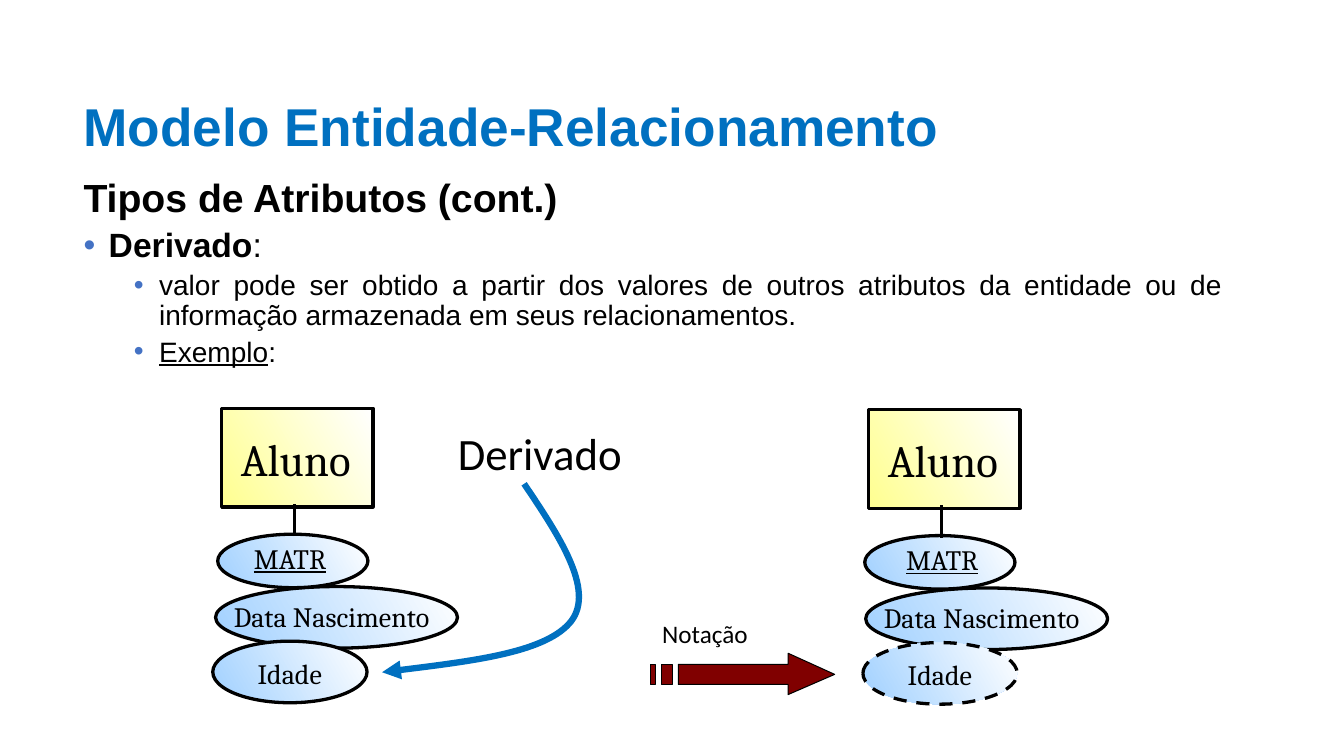
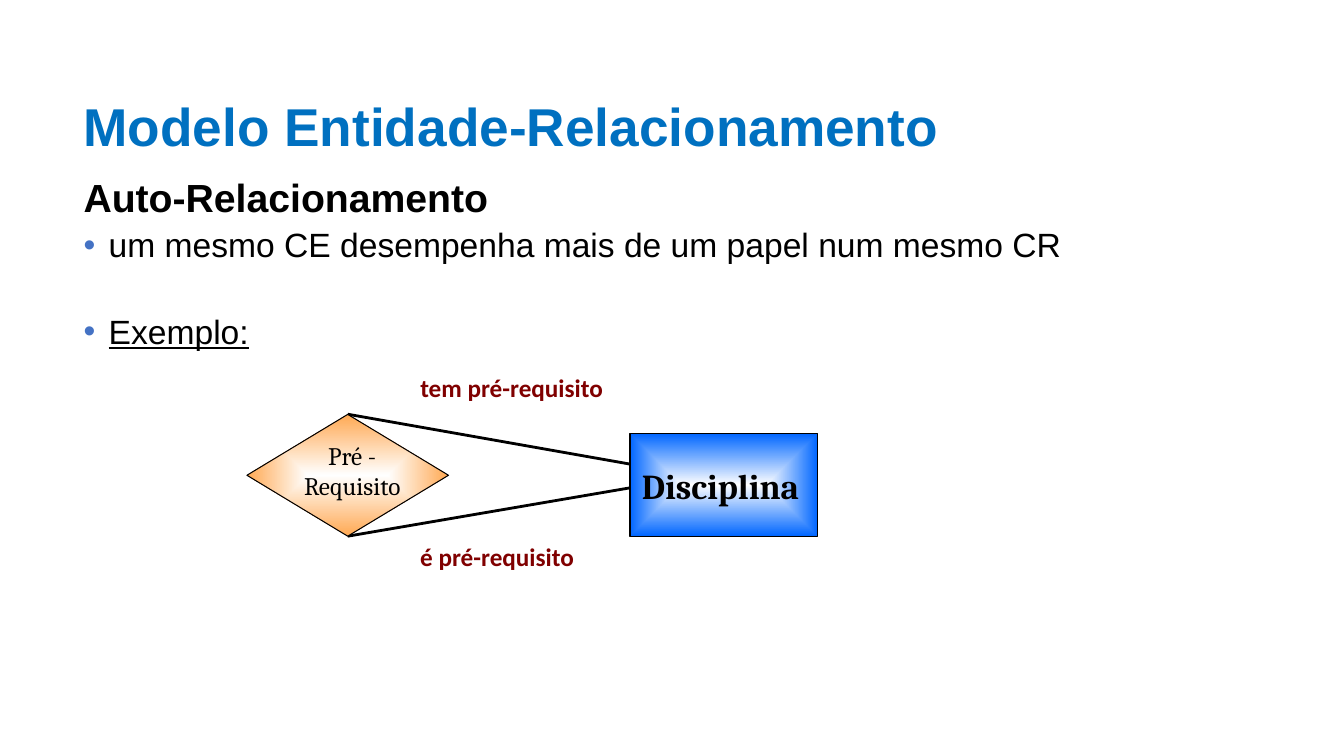
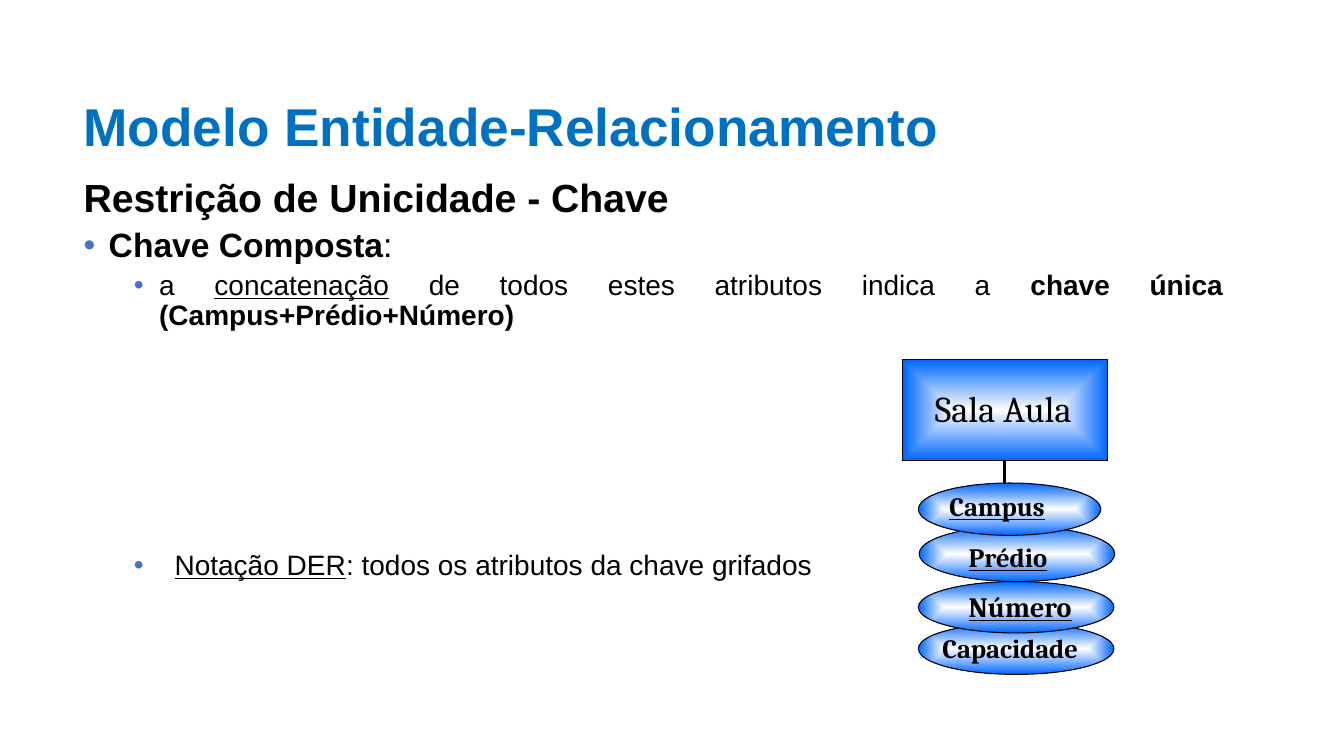
"""Build three slides on the entity-relationship model."""
from lxml.etree import SubElement
from pptx import Presentation
from pptx.dml.color import RGBColor
from pptx.enum.dml import MSO_LINE_DASH_STYLE as Dash
from pptx.enum.shapes import MSO_CONNECTOR as Connector, MSO_SHAPE as Preset
from pptx.enum.text import PP_ALIGN as Align
from pptx.oxml import parse_xml
from pptx.oxml.ns import nsdecls, qn
from pptx.util import Pt

BLACK, TITLE_BLUE, BULLET_BLUE, MAROON = "000000", "0070C0", "4472C4", "800000"
SLANTED = '<a:lin ang="19800000" scaled="0"/>'
CENTRED = ('<a:path path="{}"><a:fillToRect l="50000" t="50000" '
           'r="50000" b="50000"/></a:path>')
SKY = ("A0D0FF", "FFFFFF", SLANTED)
YELLOW = ("FFFF90", "FFFFFF", SLANTED)
BLUE = ("FFFFFF", "0066FF", CENTRED.format("shape"))
ORANGE = ("FFFFFF", "FFA953", CENTRED.format("rect"))

TITLE = "Modelo Entidade-Relacionamento"
BODY_BOX = (52.6, 59, 828, 463)
LEVELS = {1: (24, 18, 5.5), 2: (20, 54, 4.6)}

DERIVED = ("Tipos de Atributos (cont.)", [
    (1, [("Derivado", "b"), (": ", "")], {}),
    (2, [("valor pode ser obtido a partir dos valores de outros atributos da "
          "entidade ou de informação armazenada em seus relacionamentos.", "")], {}),
    (2, [("Exemplo", "u"), (":", "")], {}),
])
SELF_RELATION = ("Auto-Relacionamento", [
    (1, [("um mesmo CE desempenha mais de um papel num mesmo CR", "")], {}),
    (1, [("Exemplo:", "u")], {"before": 36}),
])
COMPOSITE_KEY = ("Restrição de Unicidade - Chave", [
    (1, [("Chave Composta", "b"), (":", "")], {}),
    (2, [("a ", ""), ("concatenação", "u"), (" de todos estes atributos indica a ", ""),
         ("chave única (Campus+Prédio+Número)", "b")], {}),
    (2, [("Notação DER", "u"), (": todos os atributos da chave grifados", "")],
     {"before": 157, "gap": 29}),
])

STUDENT_NODES = [
    (Preset.OVAL, (154, 419, 172.8, 44), SKY, 464.4,
     "Data Nascimento", (167, 428, 159), 20, "", 464.4),
    (Preset.OVAL, (152, 458, 110.2, 44), SKY, 464.4,
     "Idade", (166.3, 468.7, 81.4), 20, "c", 464.4),
    (Preset.RECTANGLE, (158.4, 291.6, 108, 70.6), YELLOW, 462.2,
     "Aluno", (172, 308.2, 100), 32, "", 462.2),
    (Preset.OVAL, (155.5, 381.6, 107.3, 38.2), SKY, 462.2,
     "MATR", (181.4, 386.6, 65.5), 20, "u", 465.8),
]
STUDENT_STEM = (210.2, 383, 210.2, 360)
CURVE = [(374.4, 345.6), (399.6, 383), (424.8, 421.2), (408.2, 443.5),
         (391, 465.8), (331.9, 473), (272.9, 480.2)]
ARROW_HEAD = [(563, 466.6), (563, 474.5), (484.6, 474.5), (484.6, 488.9),
              (563, 488.9), (563, 496.1), (596.2, 481.7)]
ARROW_BARS = [(472.3, 480.2), (464.4, 468)]
BAR_TOP, BAR_BOTTOM = 474.5, 488.9

ROLE_LINES = [(248.4, 383, 458.6, 347), (452.2, 331.9, 248.4, 295.9)]
ROLES = [("tem pré-requisito", (300.2, 265.7, 218)),
         ("é pré-requisito", (300.2, 386.6, 186))]
RELATION_NODES = [
    (Preset.RECTANGLE, (450, 309.6, 134, 73.4), BLUE,
     "Disciplina", (458.6, 331.9, 126.7), 25, "b"),
    (Preset.DIAMOND, (176.4, 296, 144, 87), ORANGE,
     "Pré - Requisito", (209.5, 314.6, 84.2), 18, "c"),
]

ROOM_STEM = (717.8, 329, 717.8, 355.7)
ROOM_NODES = [
    (Preset.OVAL, (656, 445, 139.7, 36.7), BLUE,
     "Capacidade", (673.2, 451.4, 116), 19, "b"),
    (Preset.OVAL, (656, 415.4, 139.7, 36.7), BLUE,
     "Número", (692, 421.2, 94), 20, "bu"),
    (Preset.RECTANGLE, (645, 257, 146.2, 72), BLUE,
     "Sala Aula", (645.8, 275.8, 141.8), 26, "c"),
    (Preset.OVAL, (656.6, 375.8, 139.7, 39.6), BLUE,
     "Prédio", (692, 386.6, 78), 19, "bu"),
    (Preset.OVAL, (656, 345, 130.3, 37.4), BLUE,
     "Campus", (678.2, 350, 92), 19, "bu"),
]


def colour(value):
    return RGBColor.from_string(value)


def points(values):
    return [Pt(value) for value in values]


def add_span(para, text, size, font, ink=BLACK, flags=""):
    span = para.add_run()
    span.text = text
    span.font.size, span.font.name = Pt(size), font
    span.font.color.rgb = colour(ink)
    span.font.bold, span.font.underline = "b" in flags, "u" in flags


def add_frame(page, box, margin=0, top=0):
    frame = page.shapes.add_textbox(*points(box)).text_frame
    frame.word_wrap = True
    frame.margin_left = frame.margin_right = Pt(margin)
    frame.margin_top, frame.margin_bottom = Pt(top), 0
    return frame


def add_label(page, text, place, size, font="Cambria", ink=BLACK, flags=""):
    para = add_frame(page, (*place, size * 1.2)).paragraphs[0]
    para.alignment = Align.CENTER if "c" in flags else Align.LEFT
    add_span(para, text, size, font, ink, flags)


def add_bullet(para, left, gap):
    settings = para._p.get_or_add_pPr()
    settings.set("marL", str(Pt(left)))
    settings.set("indent", str(-Pt(gap)))
    tint = SubElement(SubElement(settings, qn("a:buClr")), qn("a:srgbClr"))
    tint.set("val", BULLET_BLUE)
    SubElement(settings, qn("a:buFont")).set("typeface", "Arial")
    SubElement(settings, qn("a:buChar")).set("char", "•")


def add_page(deck, heading, items):
    page = deck.slides.add_slide(deck.slide_layouts[6])
    frame = add_frame(page, BODY_BOX, 7.2, 7.4)
    add_span(frame.paragraphs[0], TITLE, 38, "Arial", TITLE_BLUE, "b")
    para = frame.add_paragraph()
    para.space_before = Pt(12)
    add_span(para, heading, 28, "Arial", flags="b")
    for level, spans, custom in items:
        size, left, before = LEVELS[level]
        gap = custom.get("gap", 18)
        para = frame.add_paragraph()
        para.alignment, para.line_spacing = Align.JUSTIFY, 0.9
        para.space_before = Pt(custom.get("before", before))
        add_bullet(para, left - 18 + gap, gap)
        for text, flags in spans:
            add_span(para, text, size, "Arial", flags=flags)
    return page


def set_outline(shape, width, ink=BLACK):
    shape.line.color.rgb = colour(ink)
    shape.line.width = Pt(width)


def add_node(page, preset, box, gradient, width):
    shape = page.shapes.add_shape(preset, *points(box))
    shape.shadow.inherit = False
    set_outline(shape, width)
    first, last, direction = gradient
    stops = "".join(f'<a:gs pos="{place}"><a:srgbClr val="{value}"/></a:gs>'
                    for place, value in ((0, first), (100000, last)))
    fill = parse_xml(f'<a:gradFill {nsdecls("a")} rotWithShape="1">'
                     f'<a:gsLst>{stops}</a:gsLst>{direction}</a:gradFill>')
    shape._element.spPr.find(qn("a:prstGeom")).addnext(fill)
    return shape


def add_line(page, ends):
    line = page.shapes.add_connector(Connector.STRAIGHT, *points(ends))
    set_outline(line, 2)
    SubElement(line._element.spPr, qn("a:effectLst"))


def add_outline(page, contours, close):
    builder = None
    for contour in contours:
        start, *rest = [points(vertex) for vertex in contour]
        if builder is None:
            builder = page.shapes.build_freeform(*start)
        else:
            builder.move_to(*start)
        builder.add_line_segments(rest, close=close)
    shape = builder.convert_to_shape()
    shape.shadow.inherit = False
    return shape


def add_curved_arrow(page, vertices):
    shape = add_outline(page, [vertices], False)
    shape.fill.background()
    set_outline(shape, 4.5, TITLE_BLUE)
    outline = next(shape._element.iter(qn("a:path")))
    segments = outline.findall(qn("a:lnTo"))
    for start in range(0, len(segments), 3):
        curve = SubElement(outline, qn("a:cubicBezTo"))
        for segment in segments[start:start + 3]:
            curve.append(segment[0])
            outline.remove(segment)
    SubElement(shape.line._get_or_add_ln(), qn("a:tailEnd")).set("type", "triangle")


def add_student(page, with_notation):
    drop = 1 if with_notation else 0
    for preset, box, gradient, shift, text, place, size, flags, text_shift in STUDENT_NODES:
        left, top, width, height = box
        text_left, text_top, text_width = place
        if with_notation:
            left, text_left = left + shift, text_left + text_shift
        shape = add_node(page, preset, (left, top + drop, width, height), gradient, 2.36)
        if with_notation and text == "Idade":
            shape.line.dash_style = Dash.DASH
        add_label(page, text, (text_left, text_top + drop, text_width), size, flags=flags)
    move = 462.2 * drop
    x1, y1, x2, y2 = STUDENT_STEM
    add_line(page, (x1 + move, y1 + drop, x2 + move, y2 + drop))


def add_nodes(page, nodes):
    for preset, box, gradient, text, place, size, flags in nodes:
        add_node(page, preset, box, gradient, 0)
        add_label(page, text, place, size, flags=flags)


def build_derived(deck):
    page = add_page(deck, *DERIVED)
    add_student(page, False)
    add_label(page, "Derivado", (327, 303.8, 212), 32, "Calibri")
    add_label(page, "Notação", (473, 441.4, 87), 18, "Calibri")
    bars = [[(left, BAR_TOP), (left, BAR_BOTTOM), (right, BAR_BOTTOM), (right, BAR_TOP)]
            for left, right in ARROW_BARS]
    arrow = add_outline(page, [ARROW_HEAD, *bars], True)
    arrow.fill.solid()
    arrow.fill.fore_color.rgb = colour(MAROON)
    set_outline(arrow, 0.75)
    add_student(page, True)
    add_curved_arrow(page, CURVE)


def build_self_relation(deck):
    page = add_page(deck, *SELF_RELATION)
    for ends in ROLE_LINES:
        add_line(page, ends)
    add_nodes(page, RELATION_NODES)
    for text, place in ROLES:
        add_label(page, text, place, 18, "Calibri", MAROON, "b")


def build_composite_key(deck):
    page = add_page(deck, *COMPOSITE_KEY)
    add_line(page, ROOM_STEM)
    add_nodes(page, ROOM_NODES)


deck = Presentation()
deck.slide_width, deck.slide_height = Pt(960), Pt(540)
for build in (build_derived, build_self_relation, build_composite_key):
    build(deck)
deck.save("out.pptx")
